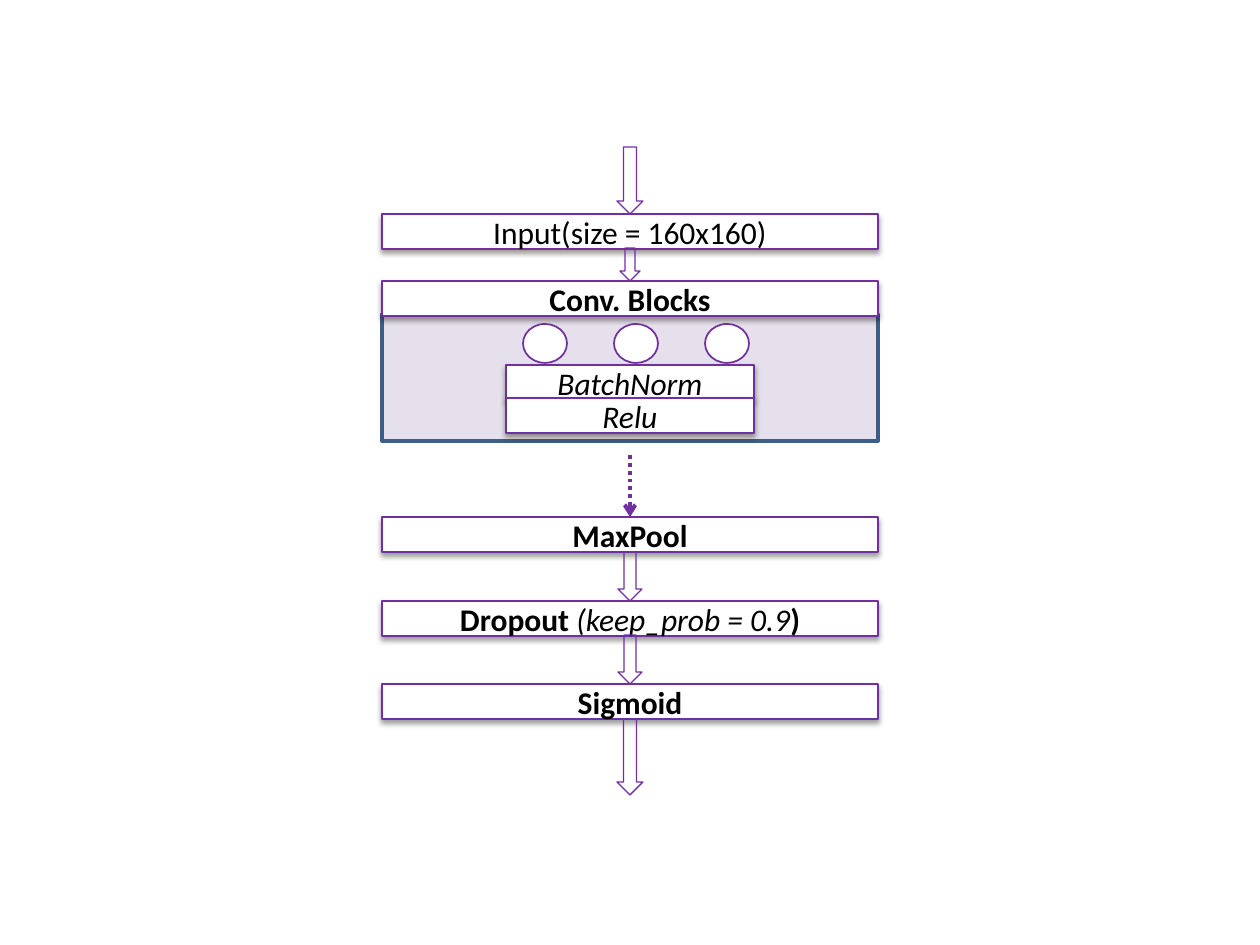
from typing import NamedTuple

from lxml.etree import SubElement
from pptx import Presentation
from pptx.dml.color import RGBColor
from pptx.enum.dml import MSO_LINE_DASH_STYLE as Dash
from pptx.enum.shapes import MSO_CONNECTOR as Connector, MSO_SHAPE as Preset
from pptx.enum.text import MSO_ANCHOR as Anchor, PP_ALIGN as Align
from pptx.oxml.ns import qn
from pptx.util import Emu, Pt

EMU_PER_PX = 914400 / 126
SLIDE_W, SLIDE_H = 1260, 945
CENTER_X = SLIDE_W // 2
WIDE, NARROW, LAYER_H = 496, 248, 35
MAXPOOL_TOP = 517

WHITE = RGBColor(0xFF, 0xFF, 0xFF)
BLACK = RGBColor(0x00, 0x00, 0x00)
PURPLE = RGBColor(0x70, 0x30, 0xA0)
LAVENDER = RGBColor(0xE6, 0xE0, 0xEC)
STEEL = RGBColor(0x3A, 0x5F, 0x8C)


class Words(NamedTuple):
    text: str
    bold: bool = False
    italic: bool = False


class Layer(NamedTuple):
    top: int
    width: int
    label: tuple[Words, ...]


class FlowArrow(NamedTuple):
    top: int
    width: int
    height: int


LAYERS = (
    Layer(214, WIDE, (Words("Input(size = 160x160)"),)),
    Layer(281, WIDE, (Words("Conv. Blocks", bold=True),)),
    Layer(365, NARROW, (Words("BatchNorm", italic=True),)),
    Layer(398, NARROW, (Words("Relu", italic=True),)),
    Layer(601, WIDE, (Words("Dropout ", bold=True),
                      Words("(keep_prob = 0.9", italic=True),
                      Words(")", bold=True))),
    Layer(684, WIDE, (Words("Sigmoid", bold=True),)),
    Layer(MAXPOOL_TOP, WIDE, (Words("MaxPool", bold=True),)),
)
FLOW_ARROWS = (
    FlowArrow(552, 24, 49),
    FlowArrow(635, 24, 49),
    FlowArrow(147, 26, 67),
    FlowArrow(248, 20, 33),
    FlowArrow(719, 26, 76),
)


def px(length: int) -> Emu:
    return Emu(round(length * EMU_PER_PX))


def add_figure(shapes, preset, left: int, top: int, width: int, height: int,
               fill: RGBColor | None = WHITE, line: RGBColor = PURPLE,
               weight: float = 1):
    figure = shapes.add_shape(preset, px(left), px(top), px(width), px(height))
    figure.shadow.inherit = False
    if fill is None:
        figure.fill.background()
    else:
        figure.fill.solid()
        figure.fill.fore_color.rgb = fill
    figure.line.color.rgb = line
    figure.line.width = Pt(weight)
    return figure


def add_soft_shadow(figure) -> None:
    effects = figure._element.spPr.find(qn("a:effectLst"))
    shadow = SubElement(effects, qn("a:outerShdw"), blurRad="40000",
                        dist="20000", dir="5400000", rotWithShape="0")
    color = SubElement(shadow, qn("a:srgbClr"), val=str(BLACK))
    SubElement(color, qn("a:alpha"), val="38000")


def add_layer(shapes, layer: Layer):
    bar = add_figure(shapes, Preset.RECTANGLE, CENTER_X - layer.width // 2,
                     layer.top, layer.width, LAYER_H)
    add_soft_shadow(bar)
    frame = bar.text_frame
    frame.vertical_anchor = Anchor.MIDDLE
    paragraph = frame.paragraphs[0]
    paragraph.alignment = Align.CENTER
    for words in layer.label:
        run = paragraph.add_run()
        run.text = words.text
        run.font.name = "Calibri"
        run.font.size = Pt(18)
        run.font.bold = words.bold
        run.font.italic = words.italic
        run.font.color.rgb = BLACK
    return bar


def add_flow_arrow(shapes, arrow: FlowArrow) -> None:
    add_figure(shapes, Preset.DOWN_ARROW, CENTER_X - arrow.width // 2,
               arrow.top, arrow.width, arrow.height, fill=None, weight=0.75)


def add_repeat_arrow(shapes, top: int, target) -> None:
    """Dotted arrow standing for further blocks, joined to the target's top."""
    link = shapes.add_connector(Connector.STRAIGHT, px(CENTER_X), px(top),
                                px(CENTER_X), px(MAXPOOL_TOP))
    link.end_connect(target, 0)
    link.line.color.rgb = PURPLE
    link.line.width = Pt(2.25)
    link.line.dash_style = Dash.ROUND_DOT
    SubElement(link.line._get_or_add_ln(), qn("a:tailEnd"), type="arrow")
    SubElement(link._element.spPr, qn("a:effectLst"))


def main() -> None:
    deck = Presentation()
    deck.slide_width, deck.slide_height = px(SLIDE_W), px(SLIDE_H)
    shapes = deck.slides.add_slide(deck.slide_layouts[6]).shapes

    add_figure(shapes, Preset.RECTANGLE, CENTER_X - WIDE // 2, 314, WIDE, 127,
               fill=LAVENDER, line=STEEL, weight=2)
    bars = [add_layer(shapes, layer) for layer in LAYERS]
    for arrow in FLOW_ARROWS:
        add_flow_arrow(shapes, arrow)
    maxpool = bars[-1]
    add_repeat_arrow(shapes, 455, maxpool)

    conv_units = shapes.add_group_shape().shapes
    for index in range(3):
        add_figure(conv_units, Preset.OVAL, 523 + 91 * index, 324, 44, 39)

    deck.save("out.pptx")


if __name__ == "__main__":
    main()
